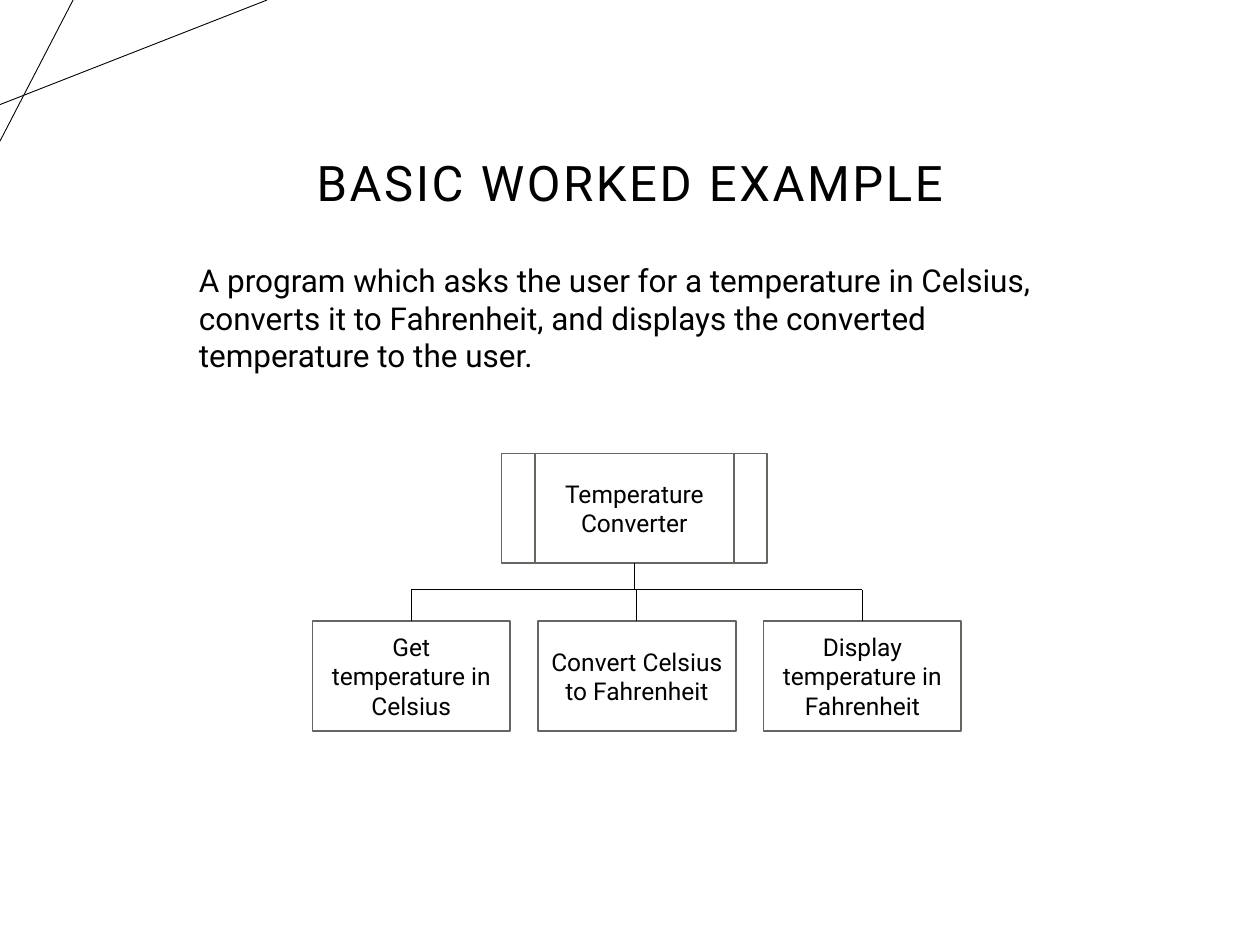
from dataclasses import dataclass

from lxml import etree
from pptx import Presentation
from pptx.dml.color import RGBColor
from pptx.enum.shapes import MSO_CONNECTOR, MSO_SHAPE
from pptx.enum.text import MSO_ANCHOR, PP_ALIGN
from pptx.oxml.ns import qn
from pptx.slide import Slide
from pptx.text.text import _Paragraph
from pptx.util import Inches, Pt

STRAIGHT = MSO_CONNECTOR.STRAIGHT
PROCESS = MSO_SHAPE.FLOWCHART_PROCESS
PREDEFINED = MSO_SHAPE.FLOWCHART_PREDEFINED_PROCESS
CENTER = PP_ALIGN.CENTER
MIDDLE = MSO_ANCHOR.MIDDLE
TITLE_ONLY = 5


@dataclass(frozen=True)
class Theme:
    font: str = "Roboto"
    ink: RGBColor = RGBColor(0x00, 0x00, 0x00)
    paper: RGBColor = RGBColor(0xFF, 0xFF, 0xFF)
    border: RGBColor = RGBColor(0x66, 0x65, 0x62)
    title_size: float = 28
    body_size: float = 18
    box_size: float = 14
    border_width: float = 1
    line_width: float = 0.5


@dataclass(frozen=True)
class Box:
    text: str
    left: float
    top: float
    width: float
    height: float
    kind: MSO_SHAPE = PROCESS


@dataclass(frozen=True)
class Line:
    x1: float
    y1: float
    x2: float
    y2: float


THEME = Theme()


def add_run(p: _Paragraph, text: str, size: float, spacing: float = 0) -> None:
    r = p.add_run()
    r.text = text
    r.font.name = THEME.font
    r.font.size = Pt(size)
    r.font.color.rgb = THEME.ink
    if spacing:
        r.font._element.set("spc", str(round(spacing * 100)))


def add_line(s: Slide, line: Line) -> None:
    ends = (Inches(v) for v in (line.x1, line.y1, line.x2, line.y2))
    c = s.shapes.add_connector(STRAIGHT, *ends)
    c.line.color.rgb = THEME.ink
    c.line.width = Pt(THEME.line_width)
    etree.SubElement(c._element.spPr, qn("a:effectLst"))


def add_box(s: Slide, box: Box) -> None:
    frame = (Inches(v) for v in (box.left, box.top, box.width, box.height))
    sp = s.shapes.add_shape(box.kind, *frame)
    sp.shadow.inherit = False
    sp.fill.solid()
    sp.fill.fore_color.rgb = THEME.paper
    sp.line.color.rgb = THEME.border
    sp.line.width = Pt(THEME.border_width)
    tf = sp.text_frame
    tf.word_wrap = True
    tf.vertical_anchor = MIDDLE
    p = tf.paragraphs[0]
    p.alignment = CENTER
    add_run(p, box.text, THEME.box_size)


def add_title(s: Slide, text: str) -> None:
    sp = s.shapes.title
    sp.left, sp.top = Inches(0.69), Inches(0.75)
    sp.width, sp.height = Inches(8.62), Inches(1.45)
    tf = sp.text_frame
    tf.vertical_anchor = MIDDLE
    p = tf.paragraphs[0]
    p.alignment = CENTER
    p.line_spacing = 0.9
    add_run(p, text, THEME.title_size, spacing=1.5)


def add_description(s: Slide, text: str) -> None:
    sp = s.shapes.add_textbox(Inches(1.48), Inches(2.02), Inches(7.03), Inches(1.01))
    tf = sp.text_frame
    tf.word_wrap = True
    add_run(tf.paragraphs[0], text, THEME.body_size)


def add_structure_chart(s: Slide, root: Box, steps: list[Box]) -> None:
    for box in (root, *steps):
        add_box(s, box)

    # A horizontal bus joins the root to every step
    bus_y = 4.68
    root_x = root.left + root.width / 2
    centers = [b.left + b.width / 2 for b in steps]
    add_line(s, Line(centers[0], bus_y, centers[-1], bus_y))
    add_line(s, Line(root_x, root.top + root.height, root_x, bus_y))
    for x, step in zip(centers, steps):
        add_line(s, Line(x, bus_y, x, step.top))


def main() -> None:
    prs = Presentation()
    prs.slide_width, prs.slide_height = Inches(10), Inches(7.5)
    s = prs.slides.add_slide(prs.slide_layouts[TITLE_ONLY])
    s.background.fill.solid()
    s.background.fill.fore_color.rgb = THEME.paper

    # Corner decoration
    for line in (Line(0, 0.83, 2.12, 0), Line(0.58, 0, 0, 1.12)):
        add_line(s, line)

    # Heading and description
    add_title(s, "BASIC WORKED EXAMPLE")
    add_description(
        s,
        "A program which asks the user for a temperature in Celsius, converts it "
        "to Fahrenheit, and displays the converted temperature to the user.",
    )

    # Structure chart
    height, step_width, pitch = 0.87, 1.57, 1.79
    labels = (
        "Get temperature in Celsius",
        "Convert Celsius to Fahrenheit",
        "Display temperature in Fahrenheit",
    )
    root = Box("Temperature Converter", 3.98, 3.6, 2.11, height, PREDEFINED)
    steps = [
        Box(label, 2.48 + i * pitch, 4.93, step_width, height)
        for i, label in enumerate(labels)
    ]
    add_structure_chart(s, root, steps)

    prs.save("out.pptx")


if __name__ == "__main__":
    main()
